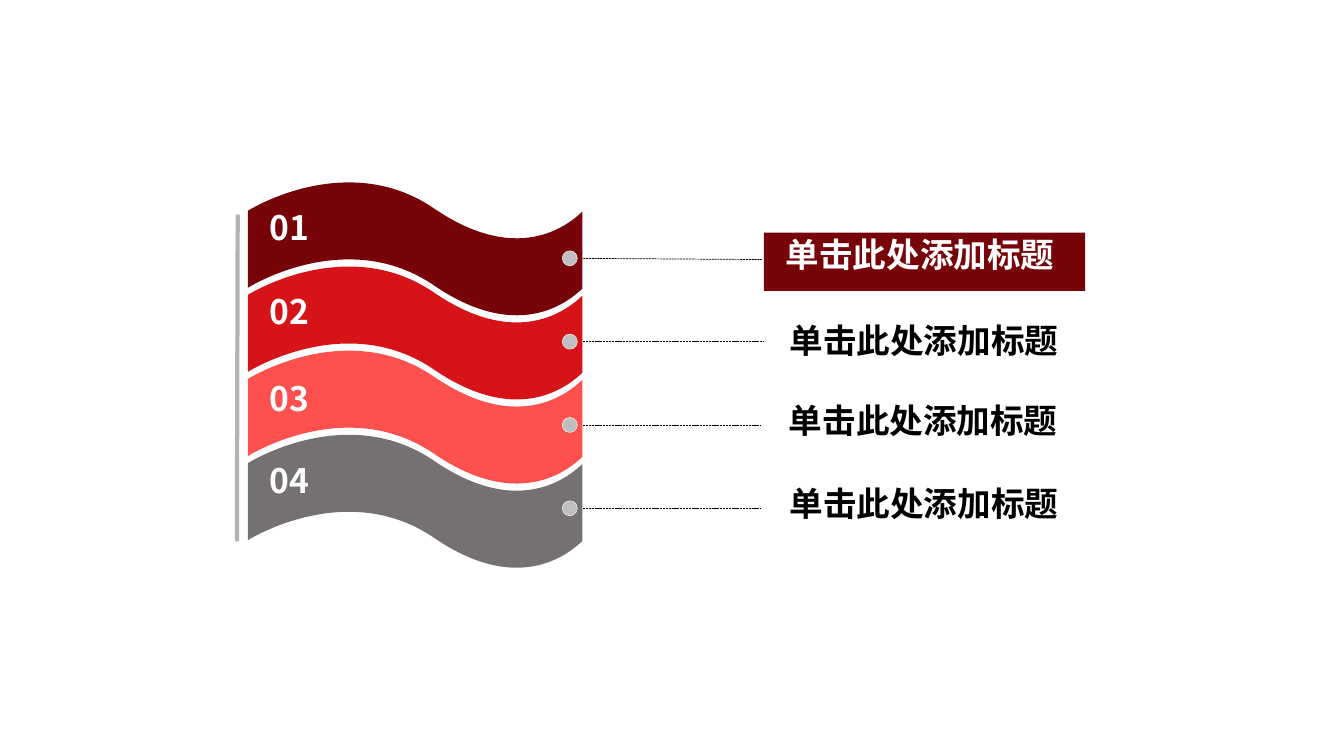
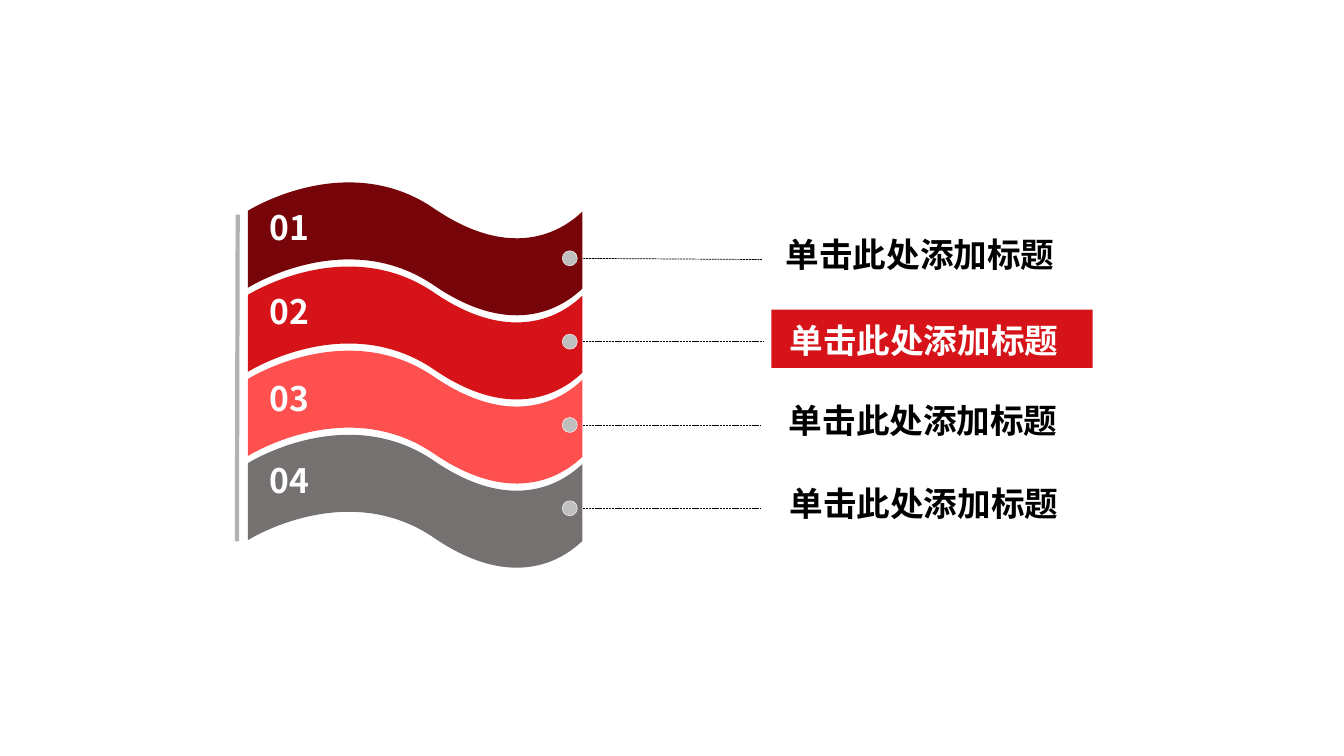
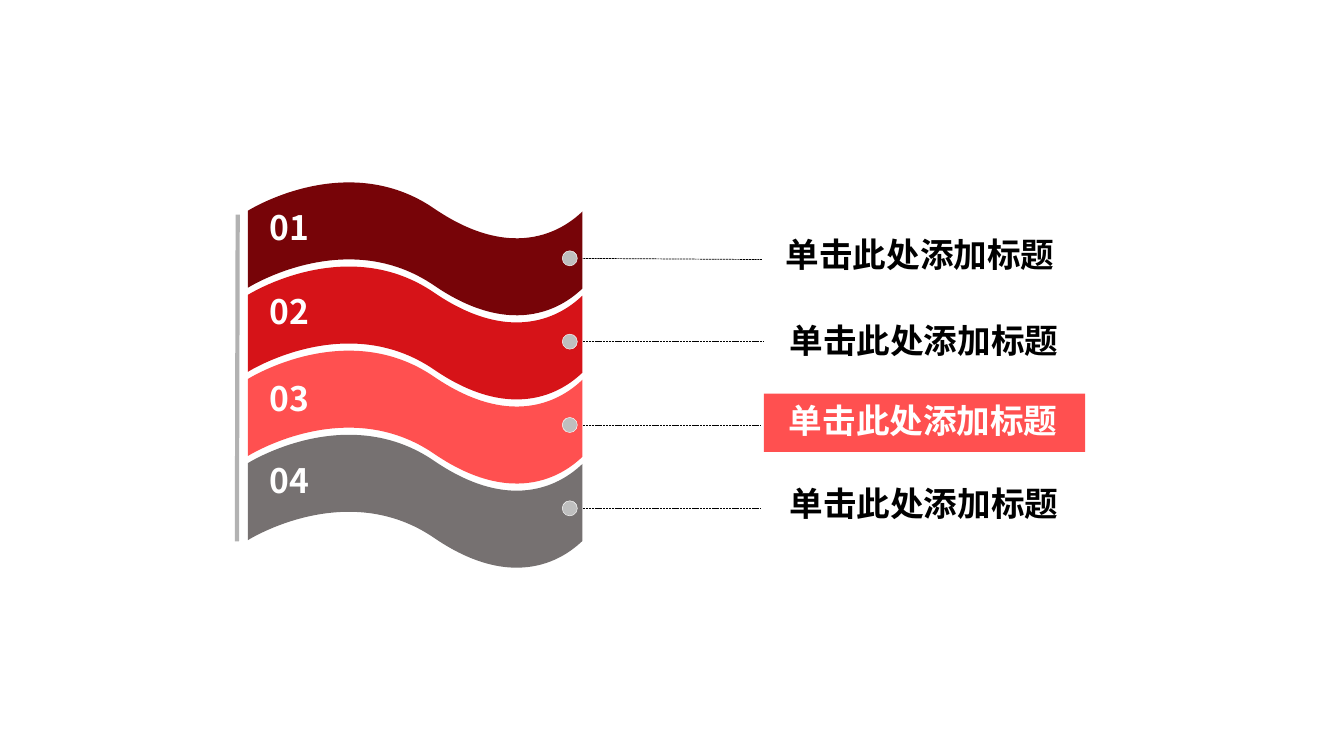
from lxml.etree import SubElement
from pptx import Presentation
from pptx.dml.color import RGBColor
from pptx.enum.dml import MSO_LINE
from pptx.enum.shapes import MSO_CONNECTOR, MSO_SHAPE
from pptx.enum.text import MSO_AUTO_SIZE, PP_ALIGN
from pptx.oxml.ns import qn
from pptx.util import Cm, Pt

FONT = "Noto Sans CJK SC"
WHITE, BLACK, POLE_GREY, DOT_GREY = "FFFFFF", "000000", "B2B2B2", "BFBFBF"
BAND_COLOURS = ["770408", "D61318", "FF5050", "767171"]
BAND_PITCH, BAND_DEPTH = 2.12, 1.94
WAVE_EDGE = [(0, 0), (0, 0), (2.49, -1.57), (4.7, -0.05), (6.93, 1.47), (8.2, 0.23), (8.43, 0.02)]
NUMBER_TOPS = [0.38, 2.49, 4.68, 6.75]
DOT_PITCH, DOT_SIZE = 2.1, 0.38
LEADER_ENDS = [(4.65, 0.03), (4.7, 0), (4.63, 0), (4.63, 0)]
LABEL = "单击此处添加标题"
LABEL_BOXES = [
    (0, 0, 9.22, 0.69, 12),
    (0.1, 1.59, 14.88, 1.27, None),
    (0.08, 3.61, 14.88, 1.27, None),
    (0.1, 5.69, 14.88, 1.27, None),
]
HIGHLIGHT_PLACES = [(-0.3, -0.49), (-0.11, 1.45), (-0.3, 3.57)]


def colour(value):
    """Turn a hex string into a colour."""
    return RGBColor.from_string(value)


def paint(shape, fill):
    """Give a shape a solid fill, no outline and no shadow."""
    shape.shadow.inherit = False
    shape.fill.solid()
    shape.fill.fore_color.rgb = colour(fill)
    shape.line.fill.background()


def add_filled(slide, kind, left, top, width, height, fill):
    """Add a flat preset shape without an outline."""
    shape = slide.shapes.add_shape(kind, Cm(left), Cm(top), Cm(width), Cm(height))
    paint(shape, fill)
    return shape


def add_line(slide, start, end, line_colour, width):
    """Add a straight line without a shadow."""
    connector = slide.shapes.add_connector(
        MSO_CONNECTOR.STRAIGHT, *(Cm(length) for length in (*start, *end)))
    connector.line.color.rgb = colour(line_colour)
    connector.line.width = Pt(width)
    SubElement(connector._element.spPr, qn("a:effectLst"))
    return connector


def add_text(slide, left, top, width, height, text, text_colour, spacing=None):
    """Add a bold one-line text box."""
    box = slide.shapes.add_textbox(Cm(left), Cm(top), Cm(width), Cm(height))
    frame = box.text_frame
    frame.word_wrap = True
    frame.auto_size = MSO_AUTO_SIZE.SHAPE_TO_FIT_TEXT
    paragraph = frame.paragraphs[0]
    paragraph.text = text
    paragraph.alignment = PP_ALIGN.JUSTIFY
    if spacing:
        paragraph.line_spacing = Pt(spacing)
    paragraph.font.size = Pt(24)
    paragraph.font.bold = True
    paragraph.font.name = FONT
    paragraph.font.color.rgb = colour(text_colour)
    defaults = paragraph._p.pPr.find(qn("a:defRPr"))
    SubElement(defaults, qn("a:ea")).set("typeface", FONT)


def add_master_panel(presentation, slide):
    """Place the translucent rounded panel behind everything on the master."""
    panel = add_filled(slide, MSO_SHAPE.ROUNDED_RECTANGLE, 0.89, 1.02, 32.13, 17.07, WHITE)
    panel.adjustments[0] = 0.07
    fill = panel._element.spPr.find(qn("a:solidFill"))
    SubElement(fill[0], qn("a:alpha")).set("val", "86000")
    presentation.slide_master.shapes._spTree.insert(2, panel._element)


def curve_outline(shape):
    """Join each three line segments of an outline into one Bezier curve."""
    outline = next(shape._element.iter(qn("a:path")))
    segments = outline.findall(qn("a:lnTo"))
    for index in range(0, len(segments) - 2, 3):
        curve = outline.makeelement(qn("a:cubicBezTo"))
        segments[index].addprevious(curve)
        for segment in segments[index:index + 3]:
            curve.append(segment[0])
            outline.remove(segment)


def add_band(slide, left, top, fill):
    """Draw one waving band of the flag."""
    lower_edge = [(x, y + BAND_DEPTH) for x, y in reversed(WAVE_EDGE)]
    outline = WAVE_EDGE + lower_edge[:1] * 2 + lower_edge + WAVE_EDGE[:1]
    corners = [(Cm(left + x), Cm(top + y)) for x, y in outline]
    builder = slide.shapes.build_freeform(*corners[0])
    builder.add_line_segments(corners[1:], close=True)
    band = builder.convert_to_shape()
    curve_outline(band)
    paint(band, fill)


def add_flag(slide, left, top):
    """Draw the four numbered bands and the pole."""
    for index, fill in enumerate(BAND_COLOURS):
        add_band(slide, left, top + index * BAND_PITCH, fill)
    for index, number_top in enumerate(NUMBER_TOPS, start=1):
        add_text(slide, left + 0.3, top + number_top, 2.57, 0.79, f"{index:02}", WHITE, 12)
    add_line(slide, (left - 0.26, top + 0.1), (left - 0.28, top + 8.33), POLE_GREY, 3)


def add_leaders(slide, left, top):
    """Draw the dashed leaders from the bands to the labels."""
    for index, (run, drop) in enumerate(LEADER_ENDS):
        level = top + index * DOT_PITCH
        leader = add_line(slide, (left, level), (left + run, level + drop), BLACK, 0.5)
        leader.line.dash_style = MSO_LINE.SQUARE_DOT


def add_dots(slide, left, top):
    """Draw a dot on each band."""
    for index in range(len(BAND_COLOURS)):
        dot = add_filled(slide, MSO_SHAPE.OVAL, left, top + index * DOT_PITCH,
                         DOT_SIZE, DOT_SIZE, DOT_GREY)
        dot.line.color.rgb = colour(WHITE)
        dot.line.width = Pt(0.3)


def add_labels(slide, left, top, active):
    """Write the four labels and highlight the active one."""
    x, y = HIGHLIGHT_PLACES[active]
    add_filled(slide, MSO_SHAPE.RECTANGLE, left + x, top + y, 8.1, 1.47, BAND_COLOURS[active])
    for index, (x, y, width, height, spacing) in enumerate(LABEL_BOXES):
        text_colour = WHITE if index == active else BLACK
        add_text(slide, left + x, top + y, width, height, LABEL, text_colour, spacing)


def add_flag_slide(presentation, active):
    """Build one slide with the given label highlighted."""
    slide = presentation.slides.add_slide(presentation.slide_layouts[6])
    add_leaders(slide, 14.55, 6.51)
    add_flag(slide, 6.25, 5.31)
    add_dots(slide, 14.17, 6.32)
    add_labels(slide, 19.55, 6.35, active)
    return slide


def main():
    """Build and save the presentation."""
    presentation = Presentation()
    presentation.slide_width = Cm(33.87)
    presentation.slide_height = Cm(19.05)
    slides = [add_flag_slide(presentation, active) for active in range(len(HIGHLIGHT_PLACES))]
    add_master_panel(presentation, slides[0])
    presentation.save("out.pptx")


if __name__ == "__main__":
    main()
